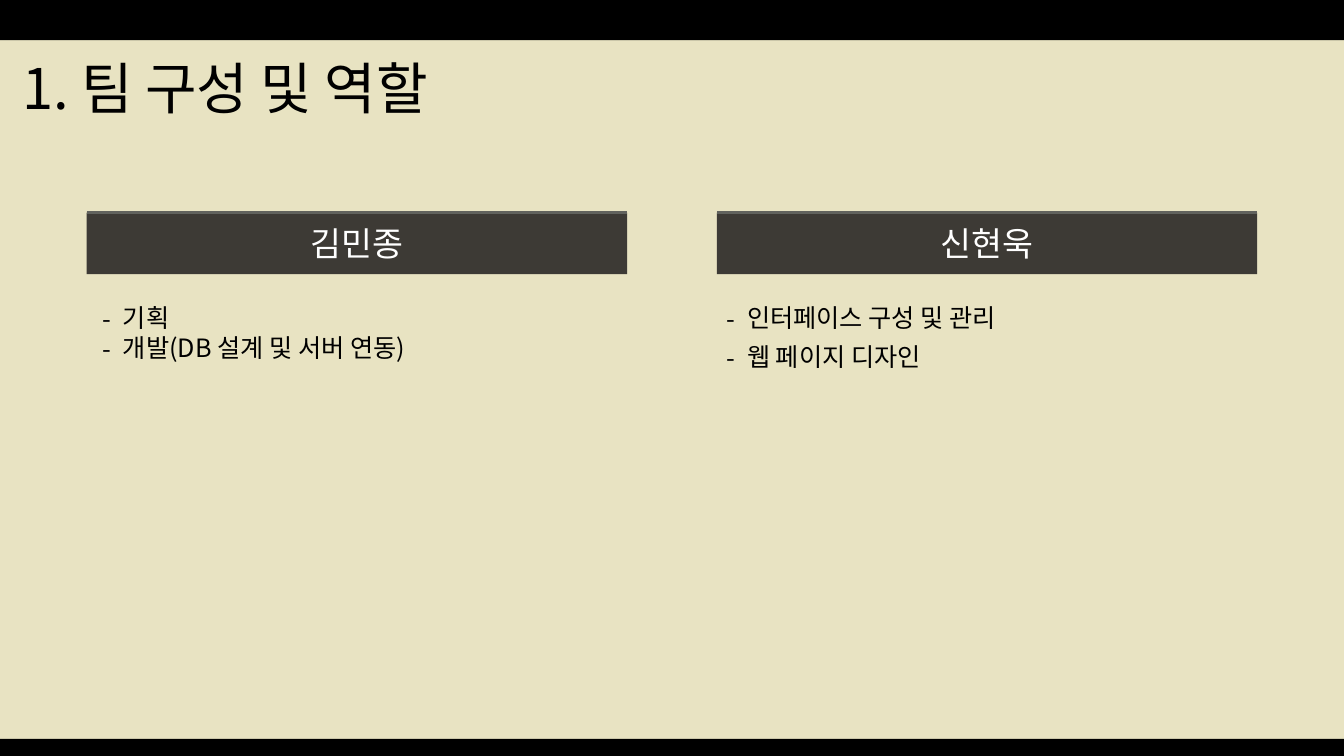
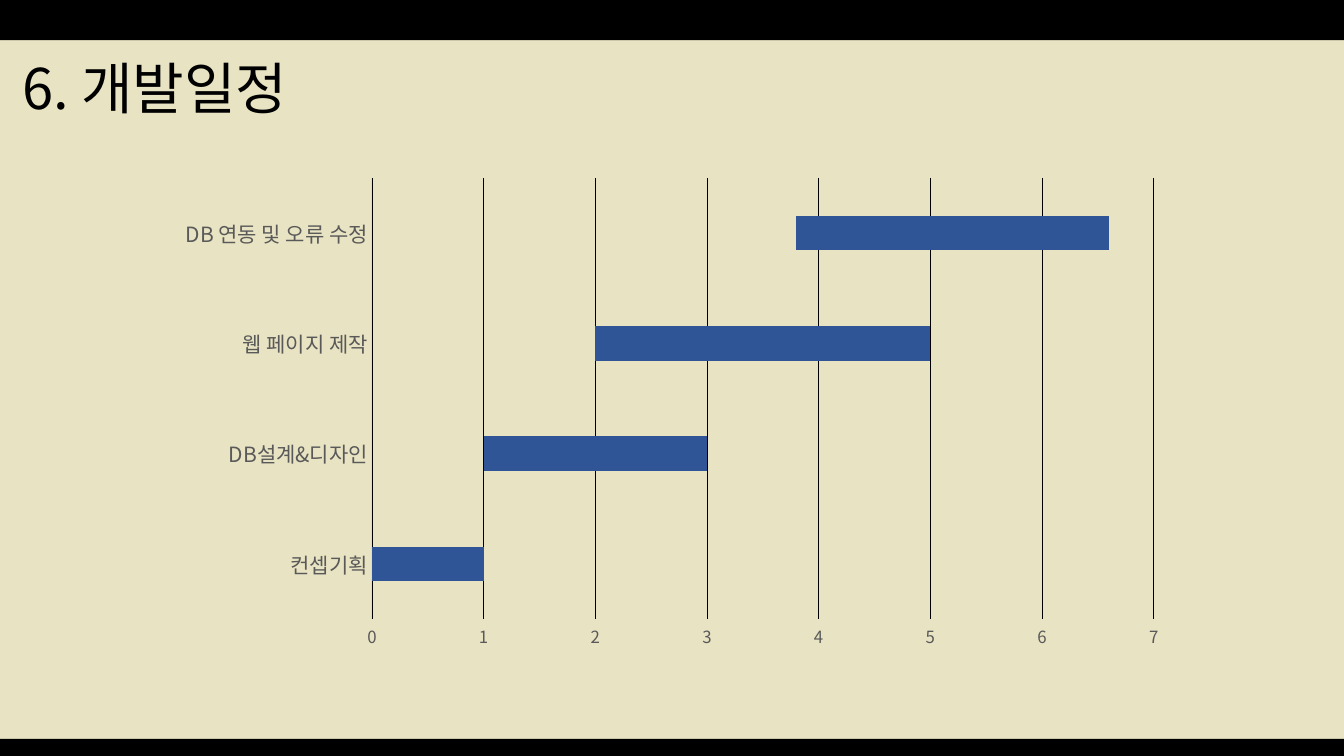
from lxml.etree import SubElement
from pptx import Presentation
from pptx.chart.data import CategoryChartData
from pptx.dml.color import RGBColor
from pptx.enum.chart import XL_CHART_TYPE as ChartType, XL_TICK_MARK as TickMark
from pptx.enum.shapes import MSO_CONNECTOR as Connector, MSO_SHAPE as Preset
from pptx.enum.text import MSO_ANCHOR as Anchor, MSO_AUTO_SIZE as AutoSize, PP_ALIGN as Align
from pptx.oxml.ns import qn
from pptx.util import Inches, Pt

FONT = "Noto Sans CJK KR"
BLACK = RGBColor(0x00, 0x00, 0x00)
WHITE = RGBColor(0xFF, 0xFF, 0xFF)
CREAM = RGBColor(0xE8, 0xE3, 0xC2)
CHARCOAL = RGBColor(0x3D, 0x3A, 0x35)
RULE_GRAY = RGBColor(0x61, 0x62, 0x5D)
AXIS_TEXT = RGBColor(0x59, 0x59, 0x59)
AXIS_LINE = RGBColor(0xD9, 0xD9, 0xD9)
BLUE = RGBColor(0x2F, 0x55, 0x97)
BROWN = RGBColor(0x4C, 0x33, 0x00)

SLIDE_WIDTH, SLIDE_HEIGHT = 13.33, 7.5
EDGE_BARS = [(0, 0.4), (7.33, 0.17)]
COLUMN_WIDTH = 5.36
HEADING_TOP, HEADING_HEIGHT = 2.11, 0.61
LIST_TOP = 2.95
DASH_INDENT = 0.2
TWO_CONTENT, TITLE_ONLY = 3, 5

MEMBERS = [
    (0.86, "김민종", ["기획", "개발(DB 설계 및 서버 연동)"],
     dict(height=0.71, inset=0.06, align=Align.JUSTIFY, space_after=0)),
    (7.11, "신현욱", ["인터페이스 구성 및 관리", "웹 페이지 디자인"],
     dict(height=0.79, inset=0, align=Align.LEFT, space_after=6)),
]
TASKS = ["컨셉기획", "DB설계&디자인", "웹 페이지 제작", "DB 연동 및 오류 수정"]
SCHEDULE = [
    ("Series 1", [0, 1, 2, 3.8], None),
    ("Series 2", [1, 2, 3, 2.8], BLUE),
    ("Series 3", [0, 0, 0, 0], BROWN),
]


def place(shape, left, top, width, height):
    shape.left, shape.top = Inches(left), Inches(top)
    shape.width, shape.height = Inches(width), Inches(height)


def style_font(font, size, color):
    font.name = FONT
    font.size = Pt(size)
    font.color.rgb = color


def add_run(paragraph, text, size, color):
    run = paragraph.add_run()
    run.text = text
    style_font(run.font, size, color)


def set_east_asian_font(root):
    for latin in list(root.iter(qn("a:latin"))):
        east_asian = latin.makeelement(qn("a:ea"), {"typeface": FONT})
        latin.addnext(east_asian)


def add_box(slide, left, top, width, height, color):
    box = slide.shapes.add_shape(
        Preset.RECTANGLE, Inches(left), Inches(top), Inches(width), Inches(height))
    box.shadow.inherit = False
    box.fill.solid()
    box.fill.fore_color.rgb = color
    box.line.fill.background()
    return box


def add_master_edge_bars(master, slide):
    for number, (top, height) in enumerate(EDGE_BARS):
        edge_bar = add_box(slide, 0, top, SLIDE_WIDTH, height, BLACK)
        edge_bar.name = f"Edge Bar {number + 1}"
        edge_bar.element.nvSpPr.cNvPr.set("id", str(100 + number))
        master.shapes.element.insert(2 + number, edge_bar.element)


def add_title(slide, text, width):
    title = slide.shapes.title
    place(title, 0.12, 0.4, width, 1.02)
    frame = title.text_frame
    frame.auto_size = AutoSize.NONE
    frame.vertical_anchor = Anchor.MIDDLE
    paragraph = frame.paragraphs[0]
    paragraph.alignment = Align.LEFT
    paragraph.line_spacing = 0.9
    add_run(paragraph, text, 40, BLACK)


def add_heading(slide, left, text):
    box = add_box(slide, left, HEADING_TOP, COLUMN_WIDTH, HEADING_HEIGHT, CHARCOAL)
    box.text_frame.vertical_anchor = Anchor.MIDDLE
    paragraph = box.text_frame.paragraphs[0]
    paragraph.alignment = Align.CENTER
    add_run(paragraph, text, 24, WHITE)
    rule = slide.shapes.add_connector(
        Connector.STRAIGHT, Inches(left), Inches(HEADING_TOP),
        Inches(left + COLUMN_WIDTH), Inches(HEADING_TOP))
    rule.line.color.rgb = RULE_GRAY
    rule.line.width = Pt(2)
    SubElement(rule.element.spPr, qn("a:effectLst"))


def set_dash_bullet(paragraph, inset):
    properties = paragraph._p.get_or_add_pPr()
    properties.set("marL", str(Inches(inset + DASH_INDENT)))
    properties.set("indent", str(-Inches(DASH_INDENT)))
    SubElement(properties, qn("a:buFont"), typeface=FONT)
    SubElement(properties, qn("a:buChar"), char="-")


def fill_list(placeholder, left, items, height, inset, align, space_after):
    place(placeholder, left, LIST_TOP, COLUMN_WIDTH, height)
    frame = placeholder.text_frame
    frame.auto_size = AutoSize.NONE
    for index, item in enumerate(items):
        paragraph = frame.add_paragraph() if index else frame.paragraphs[0]
        paragraph.alignment = align
        paragraph.space_before = Pt(0)
        paragraph.space_after = Pt(space_after)
        set_dash_bullet(paragraph, inset)
        add_run(paragraph, item, 18, BLACK)


def style_axis(axis, size):
    axis.major_tick_mark = TickMark.NONE
    axis.minor_tick_mark = TickMark.NONE
    style_font(axis.tick_labels.font, size, AXIS_TEXT)


def add_schedule_chart(slide):
    data = CategoryChartData()
    data.categories = TASKS
    for name, values, _ in SCHEDULE:
        data.add_series(name, values)
    chart = slide.shapes.add_chart(
        ChartType.BAR_STACKED, Inches(1.64), Inches(1.67),
        Inches(10.05), Inches(4.86), data).chart
    chart.has_title = False
    chart.has_legend = False
    style_font(chart.font, 10, BLACK)

    plot = chart.plots[0]
    plot.gap_width = 219
    plot.overlap = 100
    plot.vary_by_categories = False
    for series, (_, _, color) in zip(plot.series, SCHEDULE):
        if color is None:
            series.format.fill.background()
        else:
            series.format.fill.solid()
            series.format.fill.fore_color.rgb = color

    category_axis, value_axis = chart.category_axis, chart.value_axis
    style_axis(category_axis, 15)
    category_axis.format.line.color.rgb = AXIS_LINE
    category_axis.format.line.width = Pt(0.75)
    style_axis(value_axis, 12)
    value_axis.minimum_scale, value_axis.maximum_scale = 0, 7
    value_axis.major_unit = 1
    value_axis.format.line.fill.background()
    gridline = value_axis.major_gridlines.format.line
    gridline.color.rgb = BLACK
    gridline.width = Pt(0.25)
    set_east_asian_font(chart.element)


def add_team_slide(presentation):
    slide = presentation.slides.add_slide(presentation.slide_layouts[TWO_CONTENT])
    add_title(slide, "1. 팀 구성 및 역할", 6.95)
    bodies = list(slide.placeholders)[1:]
    for body, (left, name, duties, style) in zip(bodies, MEMBERS):
        add_heading(slide, left, name)
        fill_list(body, left, duties, **style)
    return slide


def add_schedule_slide(presentation):
    slide = presentation.slides.add_slide(presentation.slide_layouts[TITLE_ONLY])
    add_title(slide, "6. 개발일정", 3.08)
    add_schedule_chart(slide)
    return slide


def main():
    presentation = Presentation()
    presentation.slide_width = Inches(SLIDE_WIDTH)
    presentation.slide_height = Inches(SLIDE_HEIGHT)
    master = presentation.slide_master
    master.background.fill.solid()
    master.background.fill.fore_color.rgb = CREAM

    team = add_team_slide(presentation)
    schedule = add_schedule_slide(presentation)
    add_master_edge_bars(master, team)
    for slide in (team, schedule):
        set_east_asian_font(slide.element)
    presentation.save("out.pptx")


if __name__ == "__main__":
    main()
